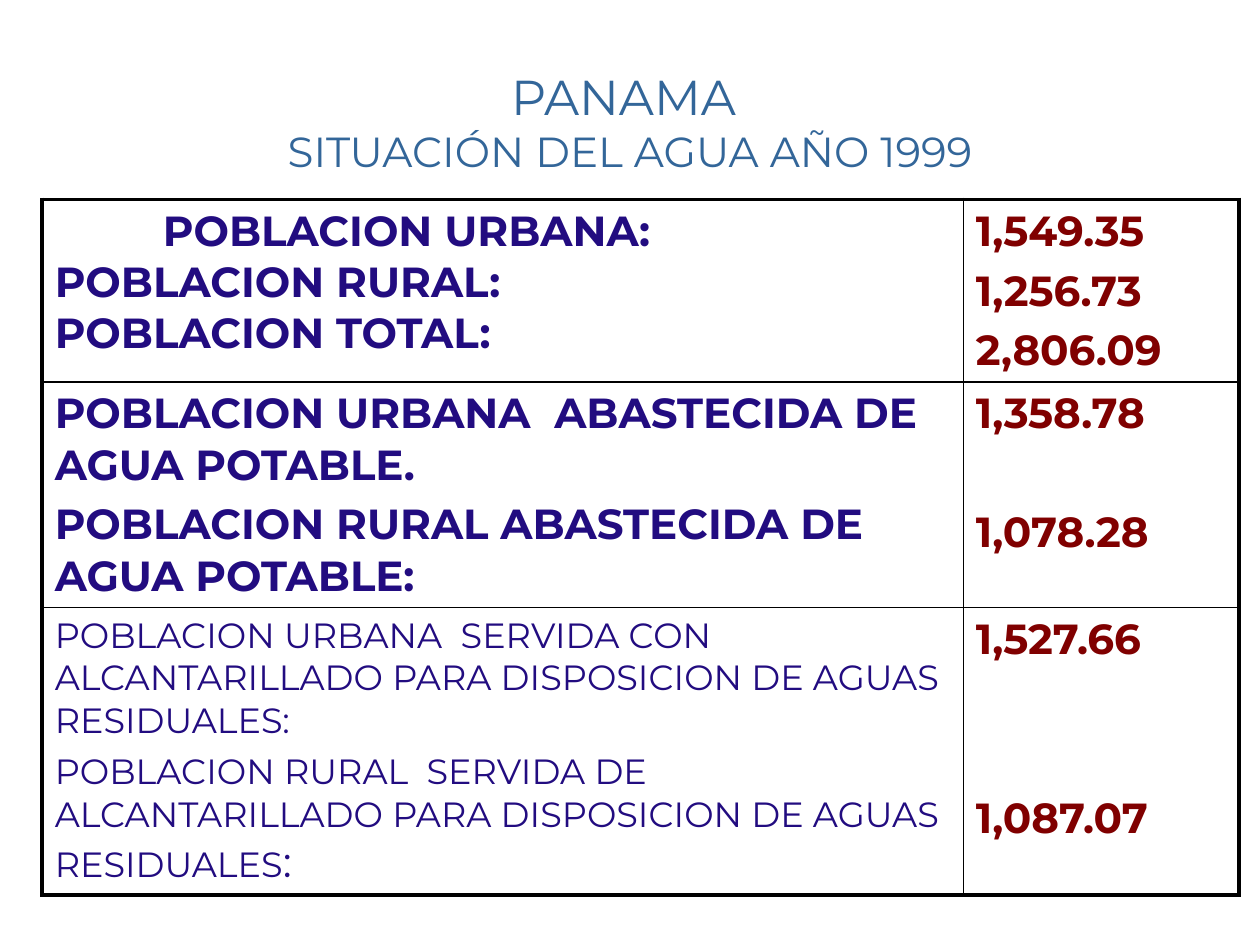
from lxml.etree import SubElement
from pptx import Presentation
from pptx.dml.color import RGBColor
from pptx.enum.text import MSO_ANCHOR, PP_ALIGN
from pptx.oxml.ns import qn
from pptx.util import Cm, Pt

FONT = "Montserrat"
STEEL, NAVY, RED, BLACK = "336699", "220C80", "800000", "000000"
GAP = 4.8  # points between paragraphs
THICK, THIN = 2.25, 1


def color(code):
    return RGBColor.from_string(code)


def add_run(para, text, size, code, bold=False):
    run = para.add_run()
    run.text = text
    font = run.font
    font.name, font.size, font.bold = FONT, Pt(size), bold
    font.color.rgb = color(code)


def add_title(slide):
    box = slide.shapes.add_textbox(Cm(1.9), Cm(1.7), Cm(21.6), Cm(1.48))
    frame = box.text_frame
    frame.word_wrap = True
    frame.vertical_anchor = MSO_ANCHOR.MIDDLE
    para = frame.paragraphs[0]
    para.alignment = PP_ALIGN.CENTER
    add_run(para, "PANAMA ", 28, STEEL)
    para.add_line_break()
    add_run(para, "SITUACIÓN DEL AGUA AÑO 1999", 24, STEEL)


def add_edge(cell, side, width):
    line = SubElement(cell._tc.get_or_add_tcPr(), qn("a:ln" + side),
                      w=str(Pt(width)))
    fill = SubElement(line, qn("a:solidFill"))
    SubElement(fill, qn("a:srgbClr"), val=BLACK)


def style_cell(cell, outer):
    for side in "LRTB":
        add_edge(cell, side, THICK if side in outer else THIN)
    cell.fill.background()


def fill_cell(cell, paras, code, bold, gap=GAP):
    """Each paragraph is a list of (text, size) runs."""
    frame = cell.text_frame
    for i, runs in enumerate(paras):
        para = frame.add_paragraph() if i else frame.paragraphs[0]
        para.space_before = Pt(gap if i else 0)
        for text, size in runs:
            add_run(para, text, size, code, bold)


def fill_totals(cell):
    para = cell.text_frame.paragraphs[0]
    para._p.get_or_add_pPr().set("indent", str(Cm(2.18)))
    for i, area in enumerate(("URBANA", "RURAL", "TOTAL")):
        if i:
            para.add_line_break()
        add_run(para, f"POBLACION {area}:", 24, NAVY, True)


def add_grid(slide):
    frame = slide.shapes.add_table(3, 2, Cm(0.85), Cm(4.02), Cm(24.13), Cm(14.02))
    table = frame.table
    table.first_row = table.horz_banding = False
    for col, width in zip(table.columns, (18.57, 5.56)):
        col.width = Cm(width)
    for row, height in zip(table.rows, (3.68, 4.55, 5.79)):
        row.height = Cm(height)
    for r, edge in enumerate(("T", "", "B")):
        for c, side in enumerate("LR"):
            style_cell(table.cell(r, c), edge + side)

    # Labels
    fill_totals(table.cell(0, 0))
    fill_cell(table.cell(1, 0), [
        [("POBLACION URBANA  ABASTECIDA DE AGUA POTABLE.", 24)],
        [("POBLACION RURAL ABASTECIDA DE AGUA POTABLE:", 24)],
    ], NAVY, True)
    tail = "ALCANTARILLADO PARA DISPOSICION DE AGUAS RESIDUALES"
    fill_cell(table.cell(2, 0), [
        [(f"POBLACION URBANA  SERVIDA CON {tail}:", 20)],
        [(f"POBLACION RURAL  SERVIDA DE {tail}", 20), (":", 24)],
    ], NAVY, False)

    # Values, spaced to line up with their labels
    values = (
        (("1,549.35", "1,256.73", "2,806.09"), GAP),
        (("1,358.78", "1,078.28"), 38.7),
        (("1,527.66", "1,087.07"), 73),
    )
    for r, (texts, gap) in enumerate(values):
        fill_cell(table.cell(r, 1), [[(t, 24)] for t in texts], RED, True, gap)


def main():
    deck = Presentation()
    deck.slide_width, deck.slide_height = Cm(25.4), Cm(19.05)
    slide = deck.slides.add_slide(deck.slide_layouts[6])
    add_title(slide)
    add_grid(slide)
    deck.save("out.pptx")


if __name__ == "__main__":
    main()
